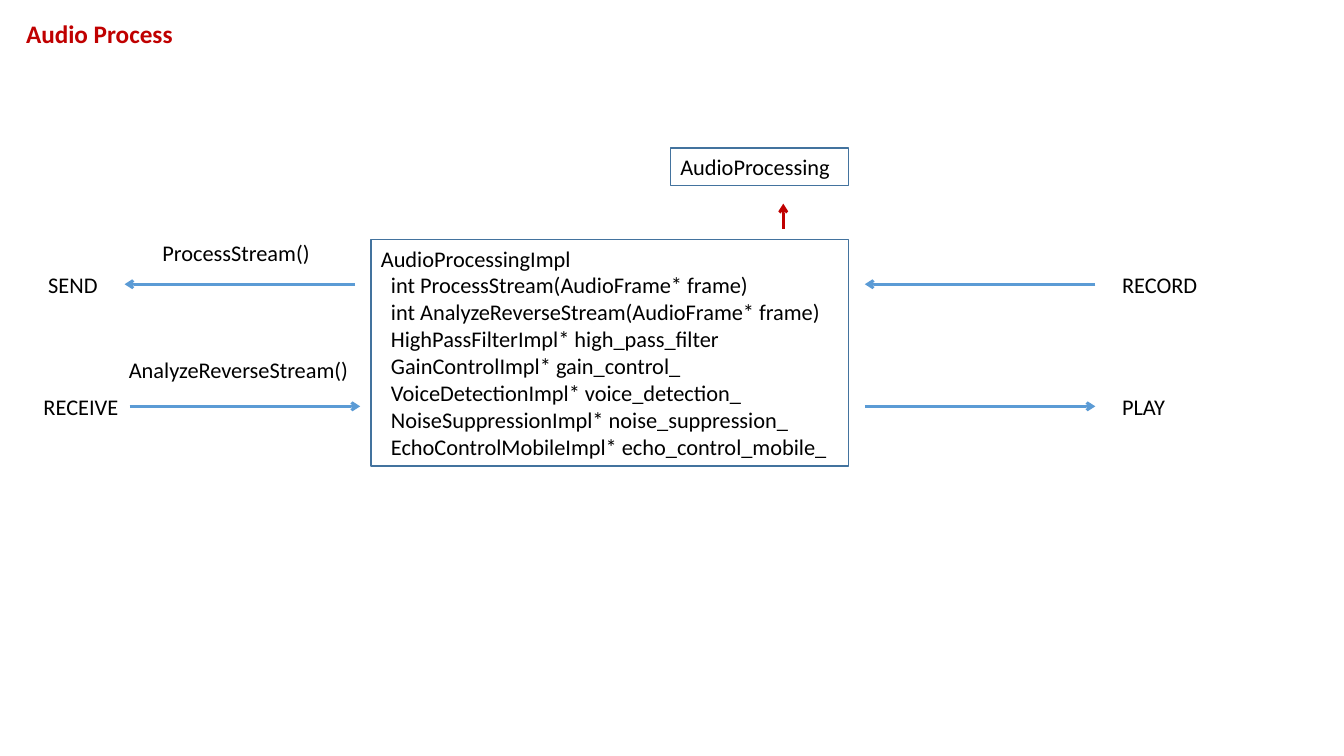
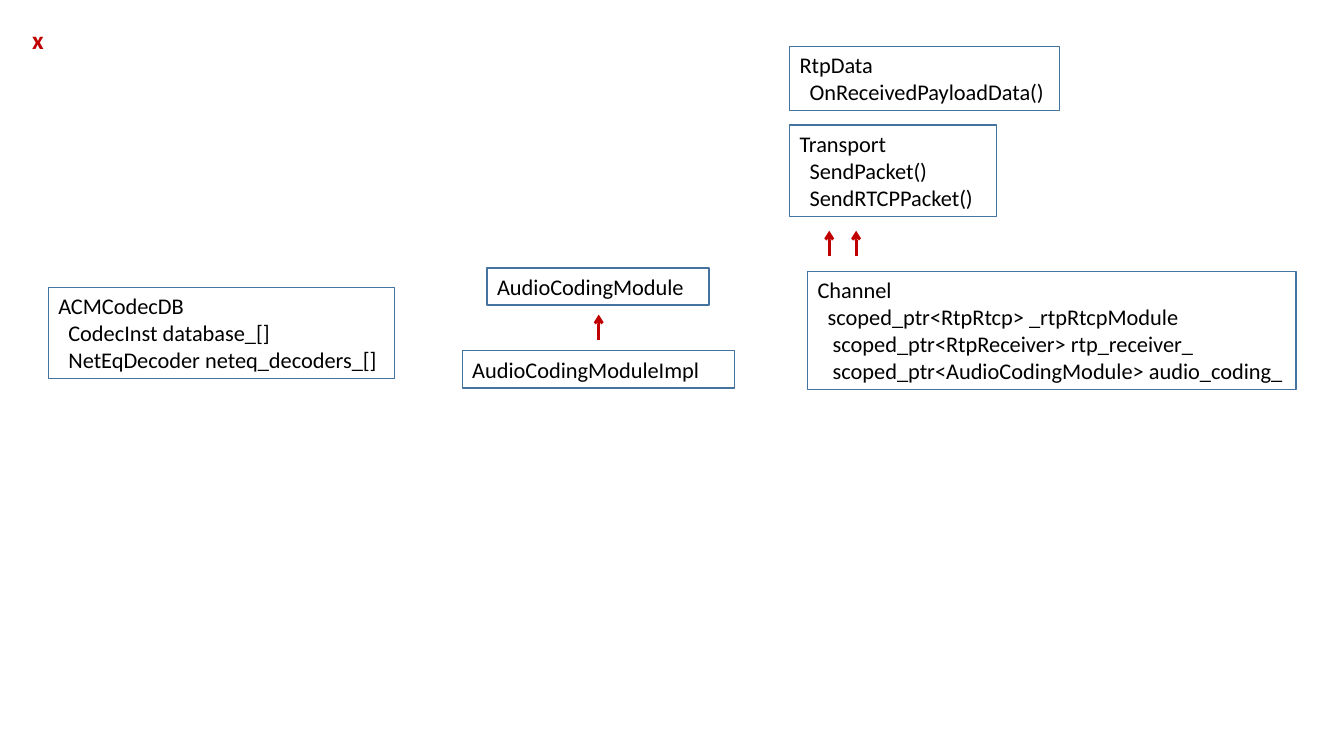
from lxml import etree
from pptx import Presentation
from pptx import util as u
from pptx.dml.color import RGBColor
from pptx.enum import shapes, text
from pptx.oxml.ns import qn

W, H = u.Inches(13.333), u.Inches(7.5)
FONT = "Calibri"
RED, BLUE, EDGE, BLACK = "C00000", "5B9BD5", "43739E", "000000"
PAD, LINE = 1.33, 3.58
RISE = 3.33
FLOW = 17.15


def color(value):
    """Turn a hex string into a colour."""
    return RGBColor.from_string(value)


def across(share):
    """Length as a percentage of the slide's width."""
    return round(W * share / 100)


def down(share):
    """Length as a percentage of the slide's height."""
    return round(H * share / 100)


def write(sp, lines, size=16, ink=BLACK, bold=False, wrap=True):
    """Fill a shape with left-aligned lines of text."""
    tf = sp.text_frame
    tf.word_wrap = wrap
    tf.auto_size = text.MSO_AUTO_SIZE.SHAPE_TO_FIT_TEXT
    tf.vertical_anchor = text.MSO_ANCHOR.TOP
    for i, line in enumerate(lines):
        p = tf.paragraphs[0] if i == 0 else tf.add_paragraph()
        p.alignment = text.PP_ALIGN.LEFT
        r = p.add_run()
        r.text = line
        r.font.name, r.font.size, r.font.bold = FONT, u.Pt(size), bold
        r.font.color.rgb = color(ink)


def title(s, x, y, w, caption):
    """Add the red slide title."""
    sp = s.shapes.add_textbox(across(x), down(y), across(w), down(5.33))
    write(sp, [caption], 18, RED, True)


def label(s, x, y, w, caption):
    """Add a one-line label."""
    sp = s.shapes.add_textbox(across(x), down(y), across(w), down(PAD + LINE))
    write(sp, [caption], wrap=False)


def class_box(s, x, y, w, *lines):
    """Add an outlined class box as tall as its lines."""
    sp = s.shapes.add_shape(shapes.MSO_SHAPE.RECTANGLE, across(x), down(y),
                            across(w), down(PAD + LINE * len(lines)))
    sp.shadow.inherit = False
    sp.fill.background()
    sp.line.color.rgb = color(EDGE)
    sp.line.width = u.Pt(1)
    write(sp, lines)


def arrow(s, x1, y1, x2, y2, ink):
    """Add a straight arrow with an open head at its end."""
    cn = s.shapes.add_connector(shapes.MSO_CONNECTOR.STRAIGHT, across(x1),
                                down(y1), across(x2), down(y2))
    cn.line.color.rgb = color(ink)
    cn.line.width = u.Pt(2)
    etree.SubElement(cn.line._get_or_add_ln(), qn("a:tailEnd"), type="arrow")
    etree.SubElement(cn._element.spPr, qn("a:effectLst"))


def inherits(s, x, y):
    """Add a short red arrow up to a base class."""
    arrow(s, x, y, x, y - RISE, RED)


def flow(s, x, y, leftward):
    """Add a blue data-flow arrow starting from its left edge x."""
    ends = (x + FLOW, x) if leftward else (x, x + FLOW)
    arrow(s, ends[0], y, ends[1], y, BLUE)


def audio_process(s):
    """Draw the audio processing streams."""
    title(s, 1.2, 1.75, 12.6, "Audio Process")
    class_box(s, 27.6, 31.7, 35.55,
              "AudioProcessingImpl",
              "  int ProcessStream(AudioFrame* frame)",
              "  int AnalyzeReverseStream(AudioFrame* frame)",
              "  HighPassFilterImpl* high_pass_filter",
              "  GainControlImpl* gain_control_",
              "  VoiceDetectionImpl* voice_detection_",
              "  NoiseSuppressionImpl* noise_suppression_",
              "  EchoControlMobileImpl* echo_control_mobile_")
    class_box(s, 49.88, 19.6, 13.27, "AudioProcessing")
    inherits(s, 58.28, 30.27)
    streams = [
        (37.6, True, 9.27, (2.85, 5.2, "SEND"), (7.1, "RECORD")),
        (53.75, False, 9.65, (2.5, 7.05, "RECEIVE"), (4.7, "PLAY")),
    ]
    for y, leftward, start, (x, w, near), (far_w, far) in streams:
        flow(s, start, y, leftward)
        flow(s, 64.35, y, leftward)
        top = y - (PAD + LINE) / 2
        label(s, x, top, w, near)
        label(s, 82.75, top, far_w, far)
    label(s, 11.35, 30.95, 12.5, "ProcessStream()")
    label(s, 8.85, 46.4, 18, "AnalyzeReverseStream()")


def channel_classes(s):
    """Draw the channel and audio coding classes."""
    title(s, 1.65, 2.5, 9.2, "x")
    class_box(s, 60.1, 35.9, 36.35,
              "Channel",
              "  scoped_ptr<RtpRtcp> _rtpRtcpModule",
              "   scoped_ptr<RtpReceiver> rtp_receiver_",
              "   scoped_ptr<AudioCodingModule> audio_coding_")
    class_box(s, 58.75, 16.55, 15.4,
              "Transport", "  SendPacket()", "  SendRTCPPacket()")
    class_box(s, 58.75, 6.15, 20.1, "RtpData", "  OnReceivedPayloadData()")
    class_box(s, 36.25, 35.45, 16.5, "AudioCodingModule")
    class_box(s, 34.4, 46.4, 20.25, "AudioCodingModuleImpl")
    class_box(s, 3.6, 38, 25.75,
              "ACMCodecDB",
              "  CodecInst database_[]",
              "  NetEqDecoder neteq_decoders_[]")
    for x, y in [(61.7, 33.85), (63.7, 33.85), (44.55, 44.95)]:
        inherits(s, x, y)


def main():
    """Build and save the presentation."""
    prs = Presentation()
    prs.slide_width, prs.slide_height = W, H
    for draw in (audio_process, channel_classes):
        draw(prs.slides.add_slide(prs.slide_layouts[6]))
    prs.save("out.pptx")


if __name__ == "__main__":
    main()
